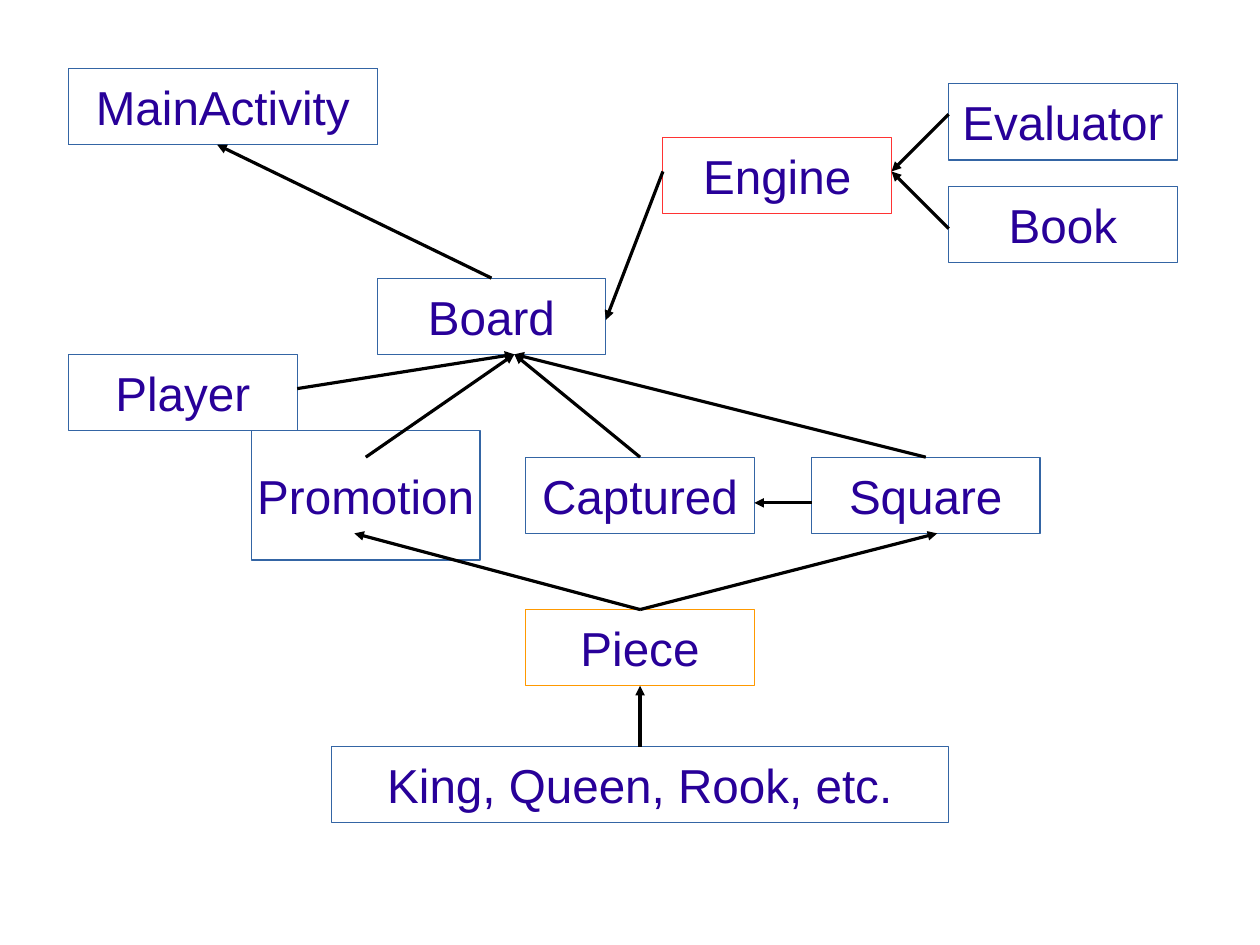
import dataclasses

import pptx
import pptx.dml.color
import pptx.enum.shapes
import pptx.enum.text
import pptx.oxml
import pptx.oxml.ns
import pptx.util

Pt = pptx.util.Pt
RGBColor = pptx.dml.color.RGBColor


@dataclasses.dataclass(frozen=True)
class Theme:
    font: str = "Arial"
    size: int = 30
    text: RGBColor = RGBColor(0x28, 0x00, 0x99)
    border: RGBColor = RGBColor(0x34, 0x65, 0xA4)
    engine_border: RGBColor = RGBColor(0xFF, 0x33, 0x33)
    piece_border: RGBColor = RGBColor(0xFF, 0x99, 0x00)
    arrow: RGBColor = RGBColor(0x00, 0x00, 0x00)


theme = Theme()
TOP, BOTTOM = 0, 2
BOX_WIDTH, BOX_HEIGHT = 144, 48

presentation = pptx.Presentation()
presentation.slide_width = Pt(793.7)
presentation.slide_height = Pt(595.3)
slide = presentation.slides.add_slide(presentation.slide_layouts[5])

# name, left, top, width, height, border
class_boxes = [
    ("MainActivity", 43.2, 43.2, 194.4, BOX_HEIGHT, theme.border),
    ("Promotion", 158.4, 271.2, BOX_WIDTH, 81.6, theme.border),
    ("Board", 237.6, 175.2, BOX_WIDTH, BOX_HEIGHT, theme.border),
    ("Piece", 331.2, 384, BOX_WIDTH, BOX_HEIGHT, theme.piece_border),
    ("Square", 511.2, 288, BOX_WIDTH, BOX_HEIGHT, theme.border),
    ("Captured", 331.2, 288, BOX_WIDTH, BOX_HEIGHT, theme.border),
    ("Engine", 417.6, 86.4, BOX_WIDTH, BOX_HEIGHT, theme.engine_border),
    ("Book", 597.6, 117.6, BOX_WIDTH, BOX_HEIGHT, theme.border),
    ("Evaluator", 597.6, 52.8, BOX_WIDTH, BOX_HEIGHT, theme.border),
    ("King, Queen, Rook, etc.", 208.8, 470.4, 388.8, BOX_HEIGHT, theme.border),
    ("Player", 43.2, 223.2, BOX_WIDTH, BOX_HEIGHT, theme.border),
]

boxes = {}
for name, left, top, width, height, border in class_boxes:
    if name == "MainActivity":
        shape = slide.shapes.title
    else:
        shape = slide.shapes.add_shape(
            pptx.enum.shapes.MSO_SHAPE.RECTANGLE, 0, 0, 0, 0)
    shape.left, shape.top = Pt(left), Pt(top)
    shape.width, shape.height = Pt(width), Pt(height)
    shape.shadow.inherit = False
    shape.fill.background()
    shape.line.color.rgb = border
    shape.line.width = 0

    frame = shape.text_frame
    frame.margin_left = frame.margin_right = 0
    frame.margin_top = frame.margin_bottom = 0
    frame.word_wrap = True
    frame.auto_size = pptx.enum.text.MSO_AUTO_SIZE.NONE
    frame.vertical_anchor = pptx.enum.text.MSO_ANCHOR.MIDDLE
    paragraph = frame.paragraphs[0]
    paragraph.alignment = pptx.enum.text.PP_ALIGN.CENTER
    run = paragraph.add_run()
    run.text = name
    run.font.name = theme.font
    run.font.size = Pt(theme.size)
    run.font.color.rgb = theme.text
    boxes[name] = shape

# An end is either a point or a box with the side whose middle it joins.
board_foot = (324, 223.2)
engine_side = (561.6, 108)
arrows = [
    (("Board", TOP), (136.8, 91.2)),
    ((417.6, 108), (381.6, 201.6)),
    ((597.6, 72), engine_side),
    ((597.6, 144), engine_side),
    ((230.4, 288), board_foot),
    (("Captured", TOP), board_foot),
    (("Square", TOP), board_foot),
    (("Piece", TOP), (223.2, 336)),
    (("Piece", TOP), (590.4, 336)),
    ((511.2, 316.8), (475.2, 316.8)),
    (("King, Queen, Rook, etc.", TOP), ("Piece", BOTTOM)),
    ((187.2, 244.8), board_foot),
]

for start, end in arrows:
    connector = slide.shapes.add_connector(
        pptx.enum.shapes.MSO_CONNECTOR.STRAIGHT, 0, 0, 0, 0)
    if start[0] in boxes:
        connector.begin_connect(boxes[start[0]], start[1])
    else:
        connector.begin_x, connector.begin_y = Pt(start[0]), Pt(start[1])
    if end[0] in boxes:
        connector.end_connect(boxes[end[0]], end[1])
    else:
        connector.end_x, connector.end_y = Pt(end[0]), Pt(end[1])
    connector.line.color.rgb = theme.arrow
    connector.line.width = 0
    properties = connector.element.spPr
    outline = properties.find(pptx.oxml.ns.qn("a:ln"))
    outline.append(pptx.oxml.parse_xml(
        f'<a:tailEnd {pptx.oxml.ns.nsdecls("a")} type="triangle"/>'))
    properties.append(pptx.oxml.parse_xml(
        f'<a:effectLst {pptx.oxml.ns.nsdecls("a")}/>'))

presentation.save("out.pptx")
